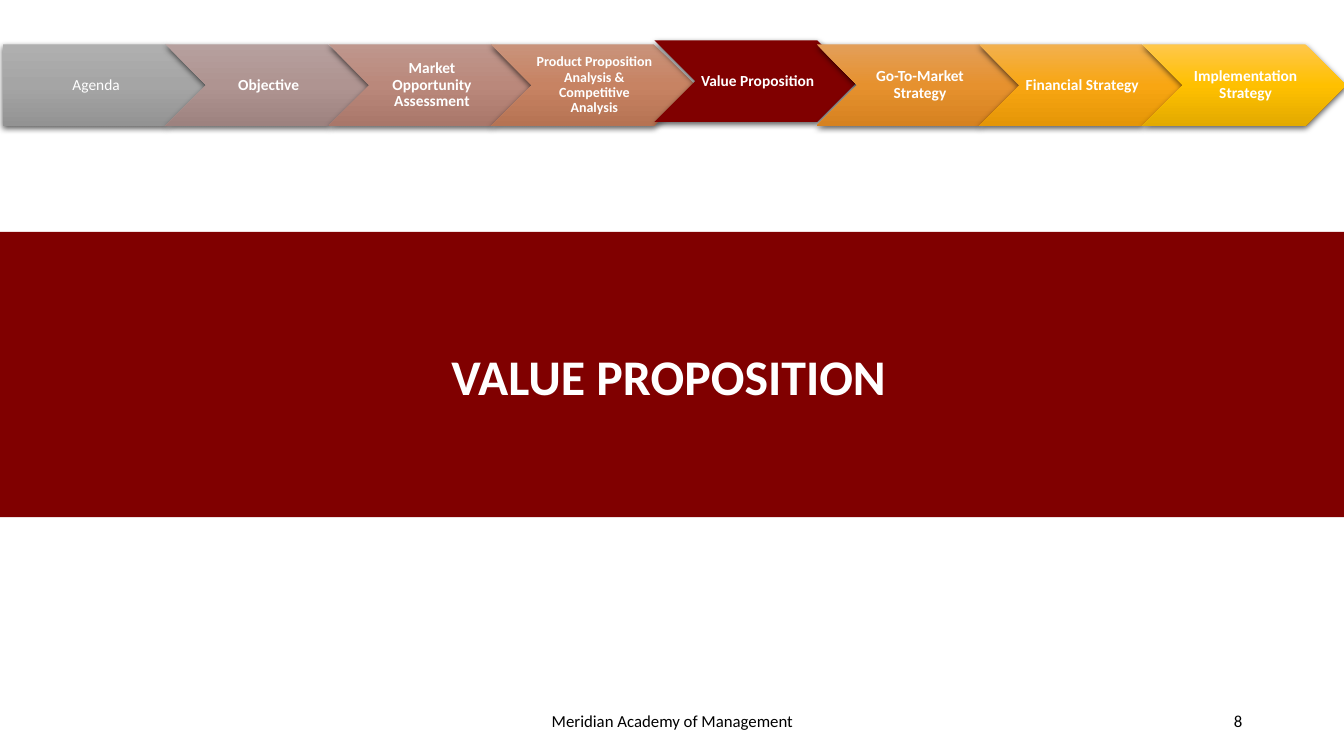
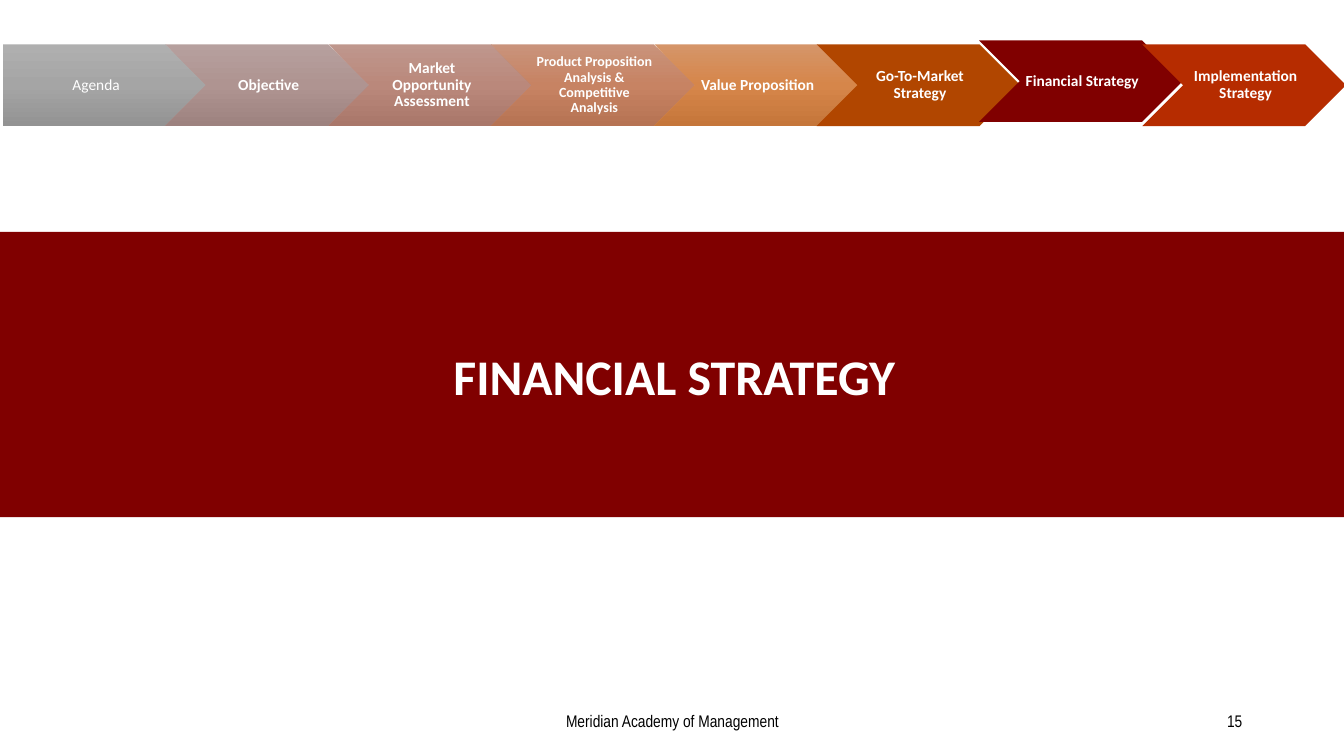
from copy import deepcopy

from lxml import etree
from pptx import Presentation
from pptx import util as u
from pptx.dml.color import RGBColor
from pptx.enum import shapes, text
from pptx.oxml.ns import qn

PX = 9144  # 100 px to the inch
PAGE_WIDTH, PAGE_HEIGHT = 1333, 750

COLOURS = {
    "maroon": "800000",
    "white": "FFFFFF",
    "black": "000000",
    "rust": "B14600",
    "brick": "B62C00",
}

# Each step: label, text format, top / middle / bottom of its gradient
STEPS = [
    ("Agenda", {"bold": False}, ("AFAFAF", "A5A5A5", "939393")),
    ("Objective", {}, ("B6A09E", "AF9491", "9D827F")),
    ("Market Opportunity Assessment", {}, ("BF978D", "BA887B", "A9776A")),
    ("Product Proposition Analysis & Competitive Analysis",
     {"size": u.Pt(10), "insets": (3, 3, 0, 3)},
     ("C9937B", "C78363", "B67353")),
    ("Value Proposition", {}, ("D59569", "D6864A", "C5763A")),
    ("Go-To-Market Strategy", {}, ("E39F5A", "E6912E", "D68220")),
    ("Financial Strategy", {}, ("F2B04F", "F8A612", "E59607")),
    ("Implementation Strategy", {}, ("FFC74B", "FFC000", "E3AA00")),
]
STEP_LEFT, STEP_TOP, STEP_PITCH = 3, 44, 161.4
STEP_WIDTH, STEP_HEIGHT, ACTIVE_LIFT = 202, 81, 4

FOOTER = "Meridian Academy of Management"

SECTIONS = [
    {"title": "VALUE PROPOSITION ", "number": "8", "footer_font": "Calibri",
     "active": 4, "solid": {}, "shadow": True},
    {"title": "FINANCIAL STRATEGY", "number": "15",
     "footer_font": "Arial Narrow", "active": 6,
     "solid": {5: "rust", 7: "brick"}, "shadow": False},
]


def colour(name):
    return RGBColor.from_string(COLOURS.get(name, name))


def px(*lengths):
    return [round(length * PX) for length in lengths]


def write(box, words, ink, align, insets=(10, 5, 10, 5), anchor="MIDDLE",
          spacing=None, **format_values):
    """Put one formatted paragraph in a shape or text box."""
    frame = box.text_frame
    frame.word_wrap = True
    frame.vertical_anchor = getattr(text.MSO_ANCHOR, anchor)
    for side, inset in zip(("left", "top", "right", "bottom"), px(*insets)):
        setattr(frame, f"margin_{side}", inset)
    para = frame.paragraphs[0]
    para.alignment = getattr(text.PP_ALIGN, align)
    para.line_spacing = spacing
    span = para.add_run()
    span.text = words
    for name, value in format_values.items():
        setattr(span.font, name, value)
    span.font.color.rgb = colour(ink)


def add_block(page, kind, place, fill=None):
    """Add a preset shape with no outline and no shadow."""
    block = page.shapes.add_shape(kind, *px(*place))
    block.shadow.inherit = False
    block.line.fill.background()
    if fill:
        block.fill.solid()
        block.fill.fore_color.rgb = colour(fill)
    return block


def shade(block, ramp):
    """Fill a shape with an even gradient from top to bottom."""
    block.fill.gradient()
    block.fill.gradient_angle = 270
    stop_list = block.element.spPr.find(".//" + qn("a:gsLst"))
    while len(stop_list) < len(ramp):
        stop_list.append(deepcopy(stop_list[-1]))
    for index, stop in enumerate(block.fill.gradient_stops):
        stop.position = index / (len(ramp) - 1)
        stop.color.rgb = colour(ramp[index])


def drop_shadow(block):
    effects = block.element.spPr.find(qn("a:effectLst"))
    shadow = etree.SubElement(effects, qn("a:outerShdw"), {
        "blurRad": str(u.Pt(4.5)), "dist": str(u.Pt(1.5)),
        "dir": "5400000", "algn": "ctr", "rotWithShape": "0"})
    tone = etree.SubElement(shadow, qn("a:srgbClr"), val=COLOURS["black"])
    etree.SubElement(tone, qn("a:alpha"), val="63000")


def add_steps(page, section):
    """Draw the row of arrows, with the current one raised."""
    for index, (label, format_values, ramp) in enumerate(STEPS):
        active = index == section["active"]
        fill = "maroon" if active else section["solid"].get(index)
        kind = shapes.MSO_SHAPE.CHEVRON if index else shapes.MSO_SHAPE.PENTAGON
        top = STEP_TOP - ACTIVE_LIFT * active
        place = (round(STEP_LEFT + index * STEP_PITCH), top,
                 STEP_WIDTH, STEP_HEIGHT)
        arrow = add_block(page, kind, place, fill)
        if not fill:
            shade(arrow, ramp)
        if section["shadow"]:
            drop_shadow(arrow)
        style = {"name": "Calibri", "size": u.Pt(11), "bold": True,
                 "insets": (5, 3, 2, 3)}
        write(arrow, label, "white", "CENTER", spacing=0.9,
              **{**style, **format_values})


def add_banner(page, title):
    rectangle = shapes.MSO_SHAPE.RECTANGLE
    add_block(page, rectangle, (0, 230, PAGE_WIDTH + 1, 283), "maroon")
    box = page.shapes.add_textbox(*px(272, 338, 794, 70))
    write(box, title, "white", "CENTER", anchor="TOP",
          name="Calibri", size=u.Pt(35.6), bold=True)


def add_footer(page, number, font):
    for words, left, width, align in (
            (FOOTER, 442, 450, "CENTER"),
            (number, 942, 300, "RIGHT")):
        box = page.shapes.add_textbox(*px(left, 695, width, 40))
        write(box, words, "black", align, name=font, size=u.Pt(12))


def main():
    deck = Presentation()
    deck.slide_width, deck.slide_height = px(PAGE_WIDTH, PAGE_HEIGHT)
    for section in SECTIONS:
        page = deck.slides.add_slide(deck.slide_layouts[6])
        add_footer(page, section["number"], section["footer_font"])
        add_banner(page, section["title"])
        add_steps(page, section)
    deck.save("out.pptx")


if __name__ == "__main__":
    main()
